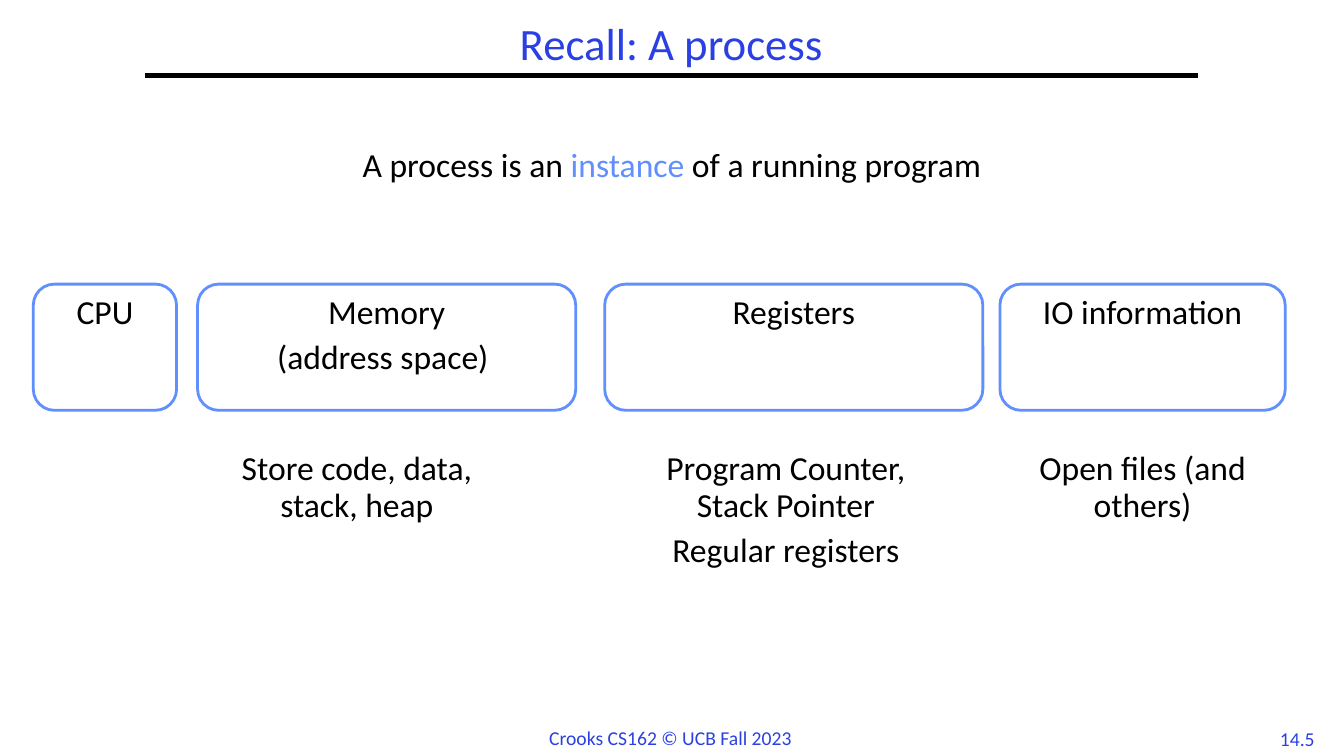
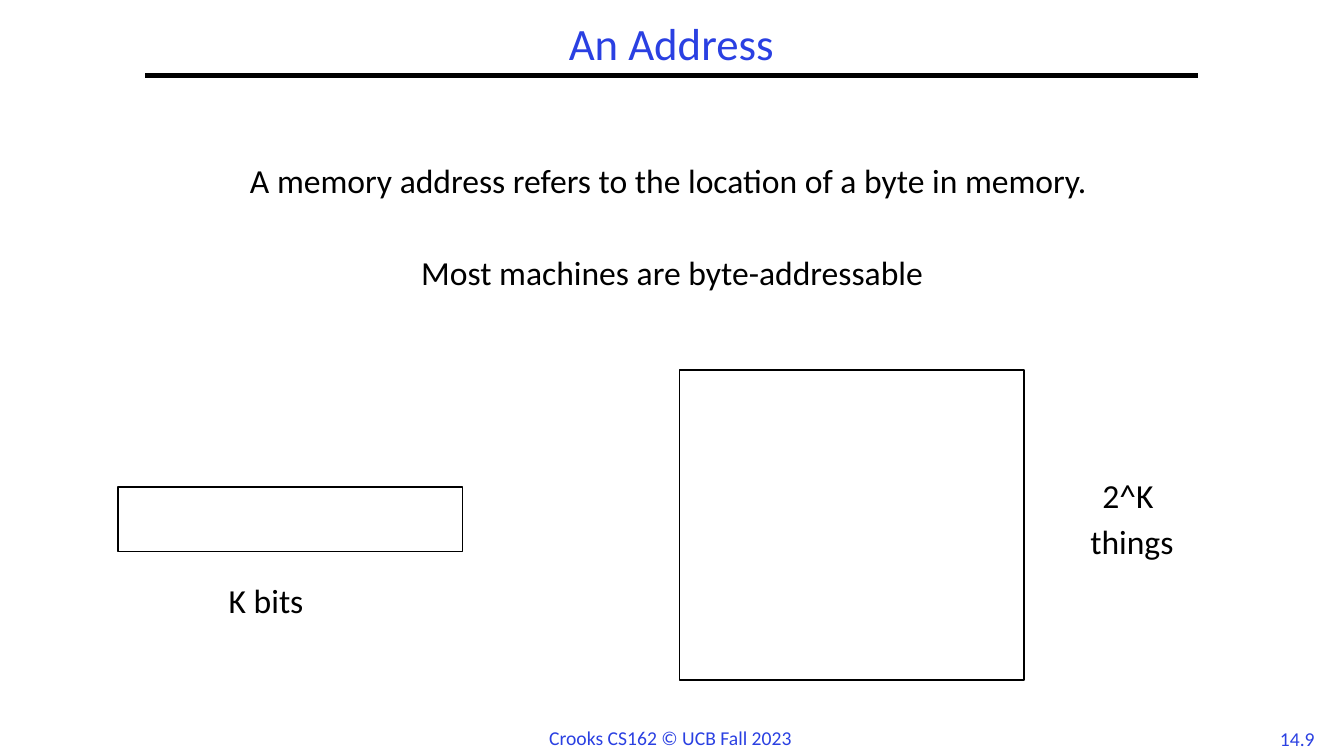
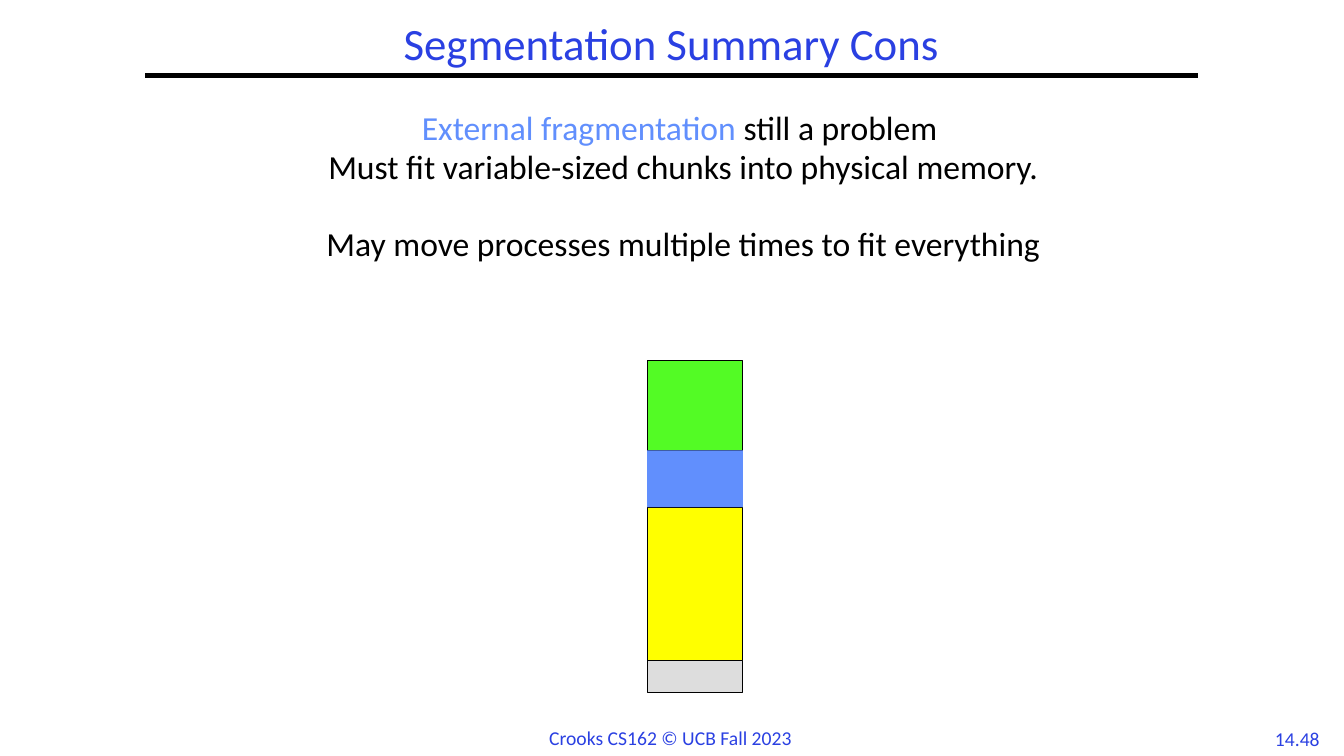
from dataclasses import dataclass
from itertools import accumulate

from lxml.etree import SubElement
from pptx import Presentation
from pptx.dml.color import RGBColor
from pptx.enum.shapes import MSO_CONNECTOR as Connector, MSO_SHAPE as Preset
from pptx.enum.text import MSO_ANCHOR as Anchor, PP_ALIGN as Align
from pptx.oxml.ns import qn
from pptx.util import Cm, Pt


@dataclass(frozen=True)
class Theme:
    font: str = "Calibri"
    title_color: str = "2A40E2"
    ink: str = "000000"
    accent: str = "618FFD"
    paper: str = "FFFFFF"
    green: str = "53FB25"
    yellow: str = "FFFF00"
    free: str = "DDDDDD"
    title_size: float = 32
    body_size: float = 24
    footer_size: float = 14
    rule_weight: float = 3
    card_weight: float = 2
    box_weight: float = 1
    chunk_weight: float = 0.75
    spacing: float = 0.9
    tight_spacing: float = 0.8
    before: float = 6.6
    tight_before: float = 4.4


@dataclass(frozen=True)
class Box:
    left: float
    top: float
    width: float
    height: float

    def within(self, dx, dy, width, height):
        return Box(self.left + dx, self.top + dy, width, height)

    def lengths(self):
        return Cm(self.left), Cm(self.top), Cm(self.width), Cm(self.height)


@dataclass(frozen=True)
class Para:
    text: str
    highlight: str = ""
    spacing: float = Theme.spacing
    before: float = Theme.before


THEME = Theme()
PAGE = Box(0, 0, 33.87, 19.05)


def color(code):
    return RGBColor.from_string(code)


def write(frame, paras, size=THEME.body_size, ink=THEME.ink, align=Align.CENTER):
    for index, para in enumerate(paras):
        line = frame.add_paragraph() if index else frame.paragraphs[0]
        line.alignment = align
        line.line_spacing = para.spacing
        line.space_before = Pt(para.before)
        lead, found, rest = para.text.partition(para.highlight or "\n")
        for words, shade in ((lead, ink), (found, THEME.accent), (rest, ink)):
            if words:
                run = line.add_run()
                run.text = words
                run.font.name = THEME.font
                run.font.size = Pt(size)
                run.font.color.rgb = color(shade)


def add_text(slide, box, paras, wrap=True, anchor=Anchor.TOP, **style):
    frame = slide.shapes.add_textbox(*box.lengths()).text_frame
    frame.word_wrap = wrap
    frame.vertical_anchor = anchor
    write(frame, paras, **style)


def add_block(slide, box, preset=Preset.RECTANGLE, fill=None, line=None, weight=0):
    block = slide.shapes.add_shape(preset, *box.lengths())
    block.shadow.inherit = False
    if fill:
        block.fill.solid()
        block.fill.fore_color.rgb = color(fill)
    else:
        block.fill.background()
    if line:
        block.line.color.rgb = color(line)
        block.line.width = Pt(weight)
    else:
        block.line.fill.background()
    return block


def add_frame(slide, page, title, number):
    heading = page.within(3.66, 0.43, 26.52, 1.47)
    rule_y = Cm(heading.top + heading.height)
    rule = slide.shapes.add_connector(
        Connector.STRAIGHT, Cm(heading.left), rule_y,
        Cm(heading.left + heading.width), rule_y)
    rule.line.color.rgb = color(THEME.ink)
    rule.line.width = Pt(THEME.rule_weight)
    SubElement(rule._element.spPr, qn("a:effectLst"))
    add_text(slide, heading, [Para(title)], anchor=Anchor.MIDDLE,
             size=THEME.title_size, ink=THEME.title_color)
    footers = (
        (page.within(13.59, 18.16, 6.68, 0.86), "Crooks CS162 © UCB Fall 2023", Align.LEFT),
        (page.within(31.83, 18.19, 1.73, 0.84), number, Align.CENTER),
    )
    for box, words, align in footers:
        add_text(slide, box, [Para(words, spacing=1, before=0)], wrap=False,
                 size=THEME.footer_size, ink=THEME.title_color, align=align)


def add_card(slide, box, heading, notes, note_shift):
    card = add_block(slide, box, Preset.ROUNDED_RECTANGLE, THEME.paper,
                     THEME.accent, THEME.card_weight)
    card.text_frame.word_wrap = True
    card.text_frame.vertical_anchor = Anchor.TOP
    write(card.text_frame, [Para(words) for words in heading])
    if notes:
        note_width = 6.55
        note_left = (box.width - note_width) / 2 + note_shift
        add_text(slide, box.within(note_left, 4.1, note_width, 3.6),
                 [Para(words) for words in notes])


def process_slide(slide, page):
    add_frame(slide, page, "Recall: A process", "14.5")
    add_text(slide, page.within(3.91, 3.61, 26.04, 9.53),
             [Para("A process is an instance of a running program", "instance")])
    cards = (
        (0.84, 3.61, ["CPU"], [], 0),
        (4.98, 9.53, ["Memory", "(address space) "], ["Store code, data, stack, heap"], -0.75),
        (15.24, 9.53, ["Registers"],
         ["Program Counter, Stack Pointer", "Regular registers"], -0.2),
        (25.2, 7.19, ["IO information"], ["Open files (and others)"], 0),
    )
    for left, width, heading, notes, note_shift in cards:
        add_card(slide, page.within(left, 7.16, width, 3.18), heading, notes, note_shift)


def add_labelled_box(slide, box, dx, dy, label):
    add_block(slide, box, line=THEME.ink, weight=THEME.box_weight)
    add_text(slide, box.within(dx, dy, 7.47, 1.27), [Para(words) for words in label])


def address_slide(slide, page):
    add_frame(slide, page, "An Address", "14.9")
    add_text(slide, page.within(2.26, 4.01, 29.36, 12.7), [
        Para("A memory address refers to the location of a byte in memory. "),
        Para("Most machines are byte-addressable", before=40),
    ])
    add_labelled_box(slide, page.within(2.97, 12.27, 8.69, 1.63), 0, 2.34, ["K bits"])
    add_labelled_box(slide, page.within(17.12, 9.32, 8.69, 7.82), 7.67, 2.64,
                     ["2^K ", "things"])


def add_memory_column(slide, box):
    heights = (2.26, 1.43, 3.86, 0.81)
    fills = (THEME.green, THEME.free, THEME.yellow, THEME.free)
    tops = list(accumulate(heights, initial=0))
    chunks = [box.within(0, top, box.width, height) for top, height in zip(tops, heights)]
    for chunk, fill in zip(chunks, fills):
        add_block(slide, chunk, fill=fill, line=THEME.ink, weight=THEME.chunk_weight)
    add_block(slide, chunks[1], fill=THEME.accent)


def segmentation_slide(slide, page):
    add_frame(slide, page, "Segmentation Summary Cons", "14.48")
    tight = {"spacing": THEME.tight_spacing}
    add_text(slide, page.within(2.54, 2.68, 29.36, 4.56), [
        Para("External fragmentation still a problem ", "External fragmentation"),
        Para("Must fit variable-sized chunks into physical memory.",
             before=THEME.tight_before, **tight),
        Para("May move processes multiple times to fit everything", before=32.3, **tight),
    ])
    add_memory_column(slide, page.within(16.31, 9.09, 2.41, 8.36))


def main():
    deck = Presentation()
    deck.slide_width, deck.slide_height = Cm(PAGE.width), Cm(PAGE.height)
    blank = deck.slide_layouts[6]
    for build in (process_slide, address_slide, segmentation_slide):
        build(deck.slides.add_slide(blank), PAGE)
    deck.save("out.pptx")


if __name__ == "__main__":
    main()
